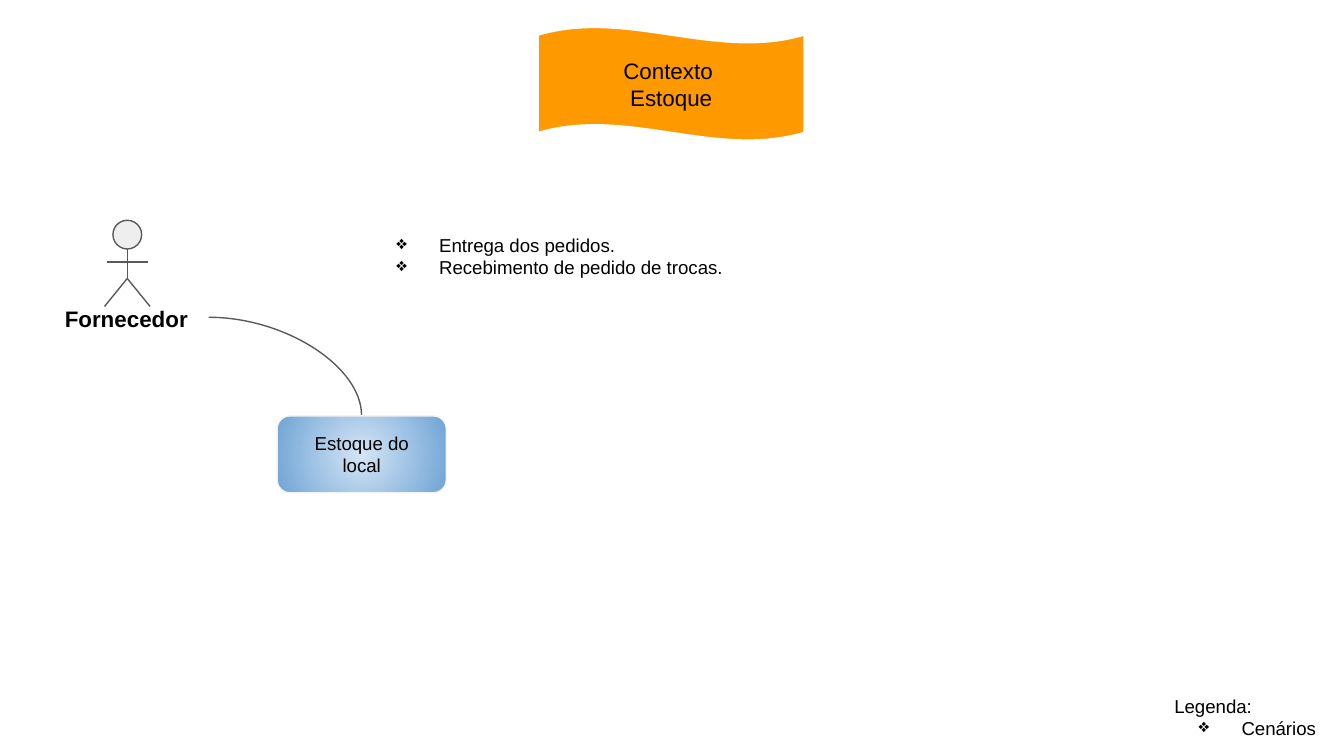
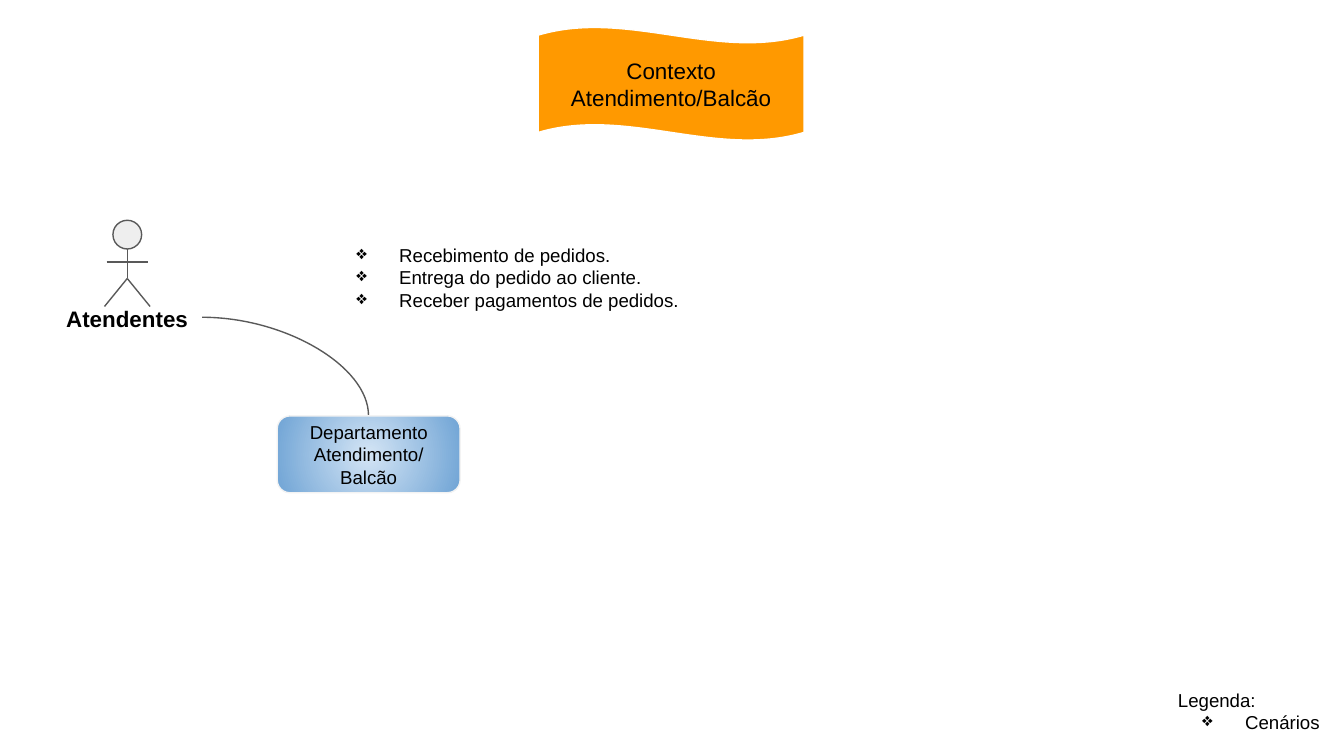
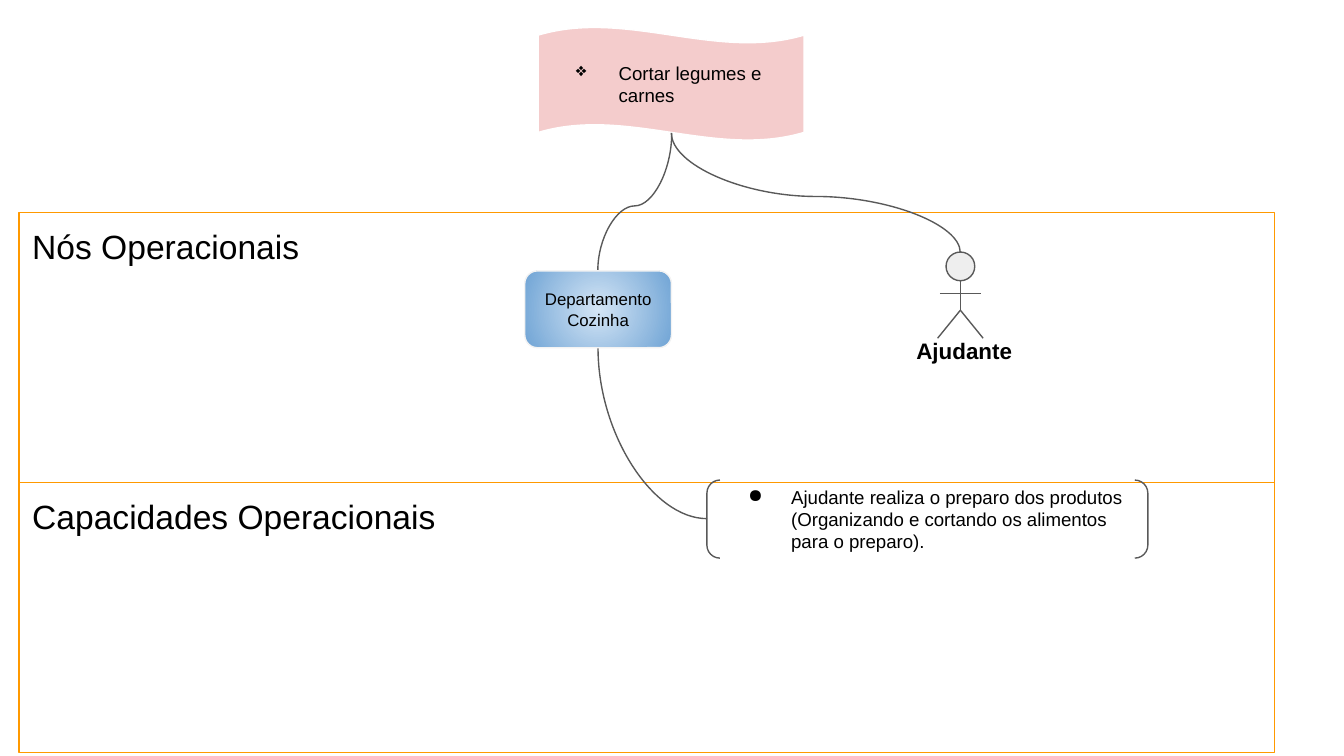
from lxml import etree
from pptx import Presentation
from pptx.dml.color import RGBColor
from pptx.enum.shapes import MSO_CONNECTOR, MSO_SHAPE
from pptx.enum.text import MSO_ANCHOR, PP_ALIGN
from pptx.oxml.ns import qn
from pptx.util import Pt

STRAIGHT, CURVE = MSO_CONNECTOR.STRAIGHT, MSO_CONNECTOR.CURVE
WAVE, RECTANGLE, ROUNDED = MSO_SHAPE.WAVE, MSO_SHAPE.RECTANGLE, MSO_SHAPE.ROUNDED_RECTANGLE
CIRCLE, BRACKETS = MSO_SHAPE.FLOWCHART_CONNECTOR, MSO_SHAPE.DOUBLE_BRACKET
TOP, MIDDLE = MSO_ANCHOR.TOP, MSO_ANCHOR.MIDDLE
LEFT, CENTER = PP_ALIGN.LEFT, PP_ALIGN.CENTER

FONT = "Arial"
BLACK, GRAY, WHITE = "000000", "595959", "FFFFFF"
ORANGE, PINK, HEAD_GRAY, NODE_EDGE = "FF9900", "F4CCCC", "EEEEEE", "F3F3F3"
NODE_GRADIENT = ("D4E5F5", "70A4D5")
LINE_WIDTH = 0.75
INSET = 7.2
BULLETS = "❖●"
colour = RGBColor.from_string


def add_text_shape(container, kind, box, lines=(), size=10, fill=None, line=None,
                   align=LEFT, anchor=TOP, bold=False):
    """Add a shape, or a text box without a kind; a line led by a bullet sign is a list item."""
    box = [Pt(length) for length in box]
    if kind is None:
        shape = container.shapes.add_textbox(*box)
    else:
        shape = container.shapes.add_shape(kind, *box)
        shape.shadow.inherit = False
    if fill:
        shape.fill.solid()
        shape.fill.fore_color.rgb = colour(fill)
    else:
        shape.fill.background()
    if line:
        shape.line.color.rgb = colour(line)
        shape.line.width = Pt(LINE_WIDTH)
    else:
        shape.line.fill.background()

    frame = shape.text_frame
    frame_format = {"word_wrap": True, "vertical_anchor": anchor}
    for side in ("left", "top", "right", "bottom"):
        frame_format[f"margin_{side}"] = Pt(INSET)
    for name, value in frame_format.items():
        setattr(frame, name, value)
    for number, text in enumerate(lines):
        paragraph = frame.add_paragraph() if number else frame.paragraphs[0]
        paragraph.alignment = align
        run = paragraph.add_run()
        run.text = text.lstrip(BULLETS)
        for name, value in {"name": FONT, "size": Pt(size), "bold": bold}.items():
            setattr(run.font, name, value)
        run.font.color.rgb = colour(BLACK)
        if text[0] in BULLETS:
            properties = paragraph._p.get_or_add_pPr()
            properties.set("marL", str(Pt(36)))
            properties.set("indent", str(Pt(-23)))
            bullet_colour = etree.SubElement(properties, qn("a:buClr"))
            etree.SubElement(bullet_colour, qn("a:srgbClr"), val=BLACK)
            etree.SubElement(properties, qn("a:buChar"), char=text[0])
    return shape


def add_line(container, kind, *ends):
    """Add a thin gray connector from x, y to x, y."""
    connector = container.shapes.add_connector(kind, *[Pt(end) for end in ends])
    connector.line.color.rgb = colour(GRAY)
    connector.line.width = Pt(LINE_WIDTH)
    etree.SubElement(connector._element.spPr, qn("a:effectLst"))
    return connector


presentation = Presentation()
presentation.slide_width, presentation.slide_height = Pt(720), Pt(405)
blank = presentation.slide_layouts[6]
stock, service, kitchen = [presentation.slides.add_slide(blank) for _ in range(3)]

# Bands of the kitchen slide
BAND_HEIGHT = 144.6
for row, title in enumerate(("Nós Operacionais", "Capacidades Operacionais")):
    add_text_shape(kitchen, RECTANGLE, (10.2, 114 + row * BAND_HEIGHT, 672.6, BAND_HEIGHT),
                   [title], size=18, line=ORANGE)

# Wave banners
for slide, fill, size, align, lines in (
    (stock, ORANGE, 12, CENTER, ["Contexto ", "Estoque"]),
    (service, ORANGE, 12, CENTER, ["Contexto Atendimento/Balcão"]),
    (kitchen, PINK, 10, LEFT, ["❖Cortar legumes e carnes"]),
):
    banner = add_text_shape(slide, WAVE, (288.4, 14.6, 142.4, 60.6), lines, size=size,
                            fill=fill, line=WHITE, align=align, anchor=MIDDLE)
    banner.adjustments[0] = 0.07

# Actors: a stick figure with its name below
for slide, centre, top, name, label_left, label_width in (
    (stock, 68.2, 118, "Fornecedor", 23.8, 87.8),
    (service, 68.2, 118, "Atendentes", 27.8, 80.6),
    (kitchen, 514.5, 135, "Ajudante", 481.7, 69.8),
):
    actor = slide.shapes.add_group_shape()
    add_text_shape(actor, CIRCLE, (centre - 7.7, top, 15.4, 15.4), fill=HEAD_GRAY, line=GRAY)
    hip = top + 31.2
    add_line(actor, STRAIGHT, centre, top + 15.4, centre, hip)
    add_line(actor, STRAIGHT, centre - 11, top + 22.4, centre + 11, top + 22.4)
    for side in (-1, 1):
        add_line(actor, STRAIGHT, centre, hip, centre + side * 12.2, top + 46.2)
    add_text_shape(actor, None, (label_left, top + 38.4, label_width, 27), [name],
                   size=12, align=CENTER, bold=True)

# Curved links: ends before rotation, preset, rotation in degrees, bend
for slide, ends, preset, rotation, bend in (
    (stock, (111.8, 170, 193.7, 222.6), "curvedConnector2", 0, None),
    (service, (108.3, 170, 197.4, 222.6), "curvedConnector2", 0, None),
    (kitchen, (303.3, 88.4, 376.8, 128), "curvedConnector3", 270, 47200),
    (kitchen, (469.1, 25.8, 405, 180.6), "curvedConnector3", 90, 46800),
    (kitchen, (395.3, 203, 303.9, 261.4), "curvedConnector2", 270, None),
):
    properties = add_line(slide, CURVE, *ends)._element.spPr
    if rotation:
        properties.find(qn("a:xfrm")).set("rot", str(rotation * 60000))
    geometry = properties.find(qn("a:prstGeom"))
    geometry.set("prst", preset)
    if bend:
        etree.SubElement(geometry.find(qn("a:avLst")), qn("a:gd"),
                         name="adj1", fmla=f"val {bend}")

# Operational nodes with a radial gradient
for slide, left, top, width, size, lines in (
    (stock, 148.5, 222.8, 90.6, 10, ["Estoque do local"]),
    (service, 148.5, 222.8, 98, 10, ["Departamento Atendimento/", "Balcão"]),
    (kitchen, 281.1, 145.1, 78.6, 9, ["Departamento Cozinha"]),
):
    node = add_text_shape(slide, ROUNDED, (left, top, width, 41.2), lines, size=size,
                          line=NODE_EDGE, align=CENTER, anchor=MIDDLE)
    node.fill.gradient()
    for stop, shade in zip(node.fill.gradient_stops, NODE_GRADIENT):
        stop.color.rgb = colour(shade)
    gradient = node._element.spPr.find(qn("a:gradFill"))
    gradient.remove(gradient.find(qn("a:lin")))
    radial = etree.SubElement(gradient, qn("a:path"), path="circle")
    etree.SubElement(radial, qn("a:fillToRect"), l="50000", t="50000", r="50000", b="50000")

# Scenario lists and legends
LEGEND = ["Legenda:", "❖Cenários"]
for slide, box, lines in (
    (stock, (192.2, 118, 239, 90), ["❖Entrega dos pedidos.", "❖Recebimento de pedido de trocas."]),
    (service, (170.8, 123.4, 239, 64),
     ["❖Recebimento de pedidos.", "❖Entrega do pedido ao cliente.",
      "❖Receber pagamentos de pedidos."]),
    (stock, (622, 365, 93, 37.4), LEGEND),
    (service, (624, 361.6, 91.4, 37.4), LEGEND),
):
    add_text_shape(slide, None, box, lines)

# Capability in brackets
add_text_shape(kitchen, BRACKETS, (378.7, 257.2, 236.2, 41.8),
               ["●Ajudante realiza o preparo dos produtos "
                "(Organizando e cortando os alimentos para o preparo)."],
               line=GRAY, anchor=MIDDLE)

presentation.save("out.pptx")
